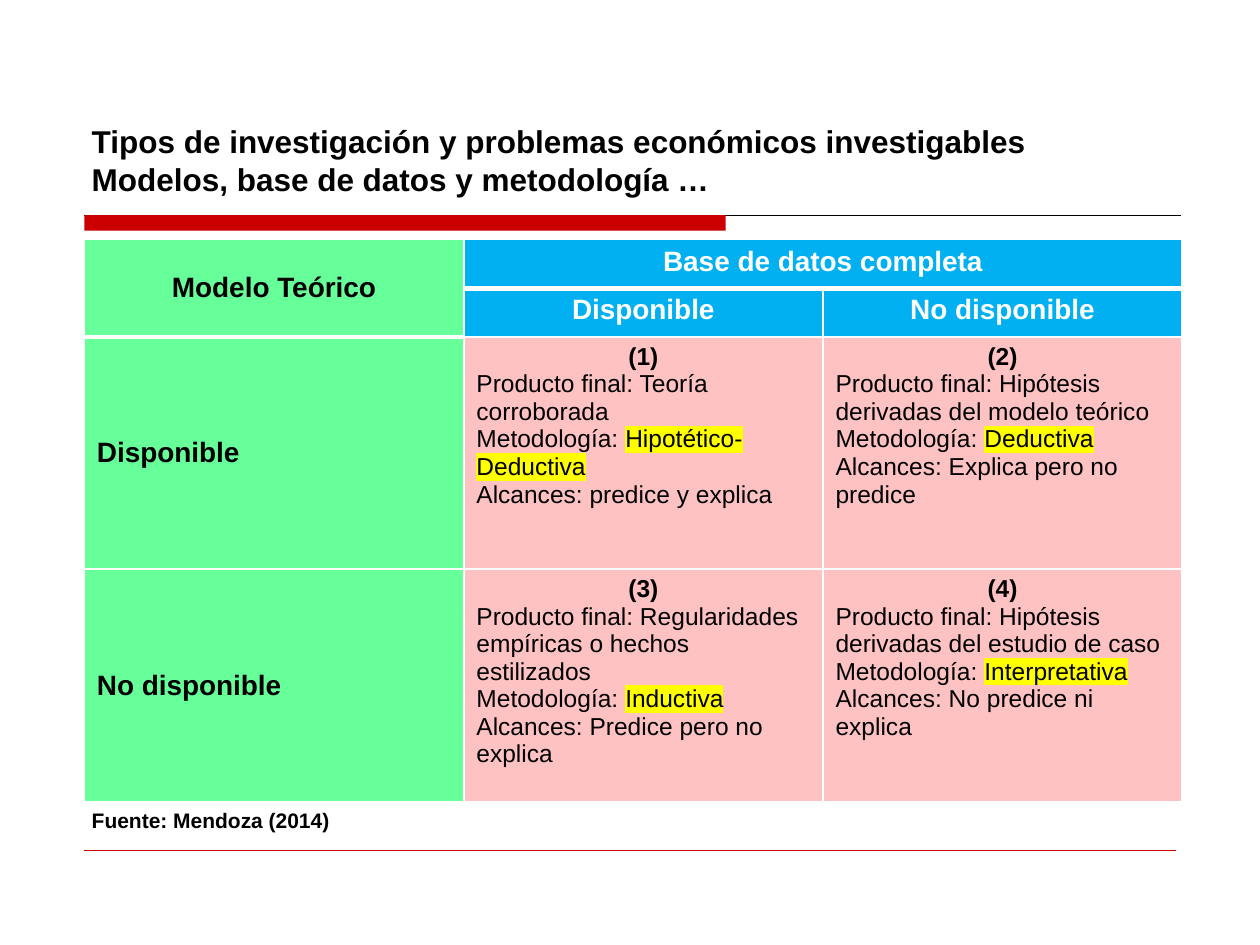
from dataclasses import dataclass
from lxml.etree import SubElement as Sub
from pptx import Presentation
from pptx.dml.color import RGBColor as RGB
from pptx.enum.shapes import MSO_CONNECTOR as Link, MSO_SHAPE as Shape
from pptx.enum.text import MSO_ANCHOR as Anchor, PP_ALIGN as Align
from pptx.oxml.ns import qn
from pptx.util import Cm, Pt

BLACK = RGB(0x00, 0x00, 0x00)
WHITE = RGB(0xFF, 0xFF, 0xFF)
RED = RGB(0xCC, 0x00, 0x00)
GREEN = RGB(0x66, 0xFF, 0x99)
BLUE = RGB(0x00, 0xB0, 0xF0)
PINK = RGB(0xFF, 0xC2, 0xC2)
YELLOW = RGB(0xFF, 0xFF, 0x00)

LEFT = 1.7
COLS = (7.65, 7.24, 7.24)
ROWS = (0.98, 0.98, 4.68, 4.7)


@dataclass
class Head:
    row: int
    col: int
    text: str
    fill: RGB
    color: RGB
    align: Align = Align.CENTER
    anchor: Anchor = Anchor.TOP


@dataclass
class Case:
    row: int
    col: int
    mark: str
    product: str
    method: str
    scope: str


HEADS = (
    Head(0, 0, "Modelo Teórico", GREEN, BLACK, anchor=Anchor.MIDDLE),
    Head(0, 1, "Base de datos completa", BLUE, WHITE),
    Head(1, 1, "Disponible", BLUE, WHITE),
    Head(1, 2, "No disponible", BLUE, WHITE),
    Head(2, 0, "Disponible", GREEN, BLACK, Align.LEFT, Anchor.MIDDLE),
    Head(3, 0, "No disponible", GREEN, BLACK, Align.LEFT, Anchor.MIDDLE),
)
CASES = (
    Case(2, 1, "(1)", "Teoría corroborada", "Hipotético-Deductiva", "predice y explica"),
    Case(2, 2, "(2)", "Hipótesis derivadas del modelo teórico", "Deductiva",
         "Explica pero no predice"),
    Case(3, 1, "(3)", "Regularidades empíricas o hechos estilizados", "Inductiva",
         "Predice pero no explica"),
    Case(3, 2, "(4)", "Hipótesis derivadas del estudio de caso", "Interpretativa",
         "No predice ni explica"),
)


def style(para, size: float, bold: bool, color: RGB = BLACK, align: Align = Align.LEFT) -> None:
    para.alignment = align
    font = para.font
    font.name, font.size, font.bold = "Arial", Pt(size), bold
    font.color.rgb = color


def mark(run) -> None:
    tint = Sub(run.font._element, qn("a:highlight"))
    Sub(tint, qn("a:srgbClr"), val=str(YELLOW))


def paint(cell, fill: RGB, thick: str = "") -> None:
    props = cell._tc.get_or_add_tcPr()
    for side in "LRTB":
        width = Pt(3 if side in thick else 1)
        edge = Sub(props, qn(f"a:ln{side}"), w=str(width))
        Sub(Sub(edge, qn("a:solidFill")), qn("a:srgbClr"), val=str(WHITE))
    cell.fill.solid()
    cell.fill.fore_color.rgb = fill


def put_head(table, head: Head) -> None:
    cell = table.cell(head.row, head.col)
    cell.text = head.text
    cell.vertical_anchor = head.anchor
    style(cell.text_frame.paragraphs[0], 16, True, head.color, head.align)


def put_case(table, case: Case) -> None:
    frame = table.cell(case.row, case.col).text_frame
    frame.text = "\n".join((case.mark, f"Producto final: {case.product}",
                            "Metodología: ", f"Alcances: {case.scope}"))
    first, *rest = frame.paragraphs
    style(first, 14, True, align=Align.CENTER)
    for para in rest:
        style(para, 14, False)
    run = rest[1].add_run()
    run.text = case.method
    mark(run)


def add_grid(slide) -> None:
    frame = slide.shapes.add_table(len(ROWS), len(COLS), Cm(LEFT), Cm(4.83),
                                   Cm(sum(COLS)), Cm(sum(ROWS)))
    table = frame.table
    table.horz_banding = table.first_row = False
    for col, width in zip(table.columns, COLS):
        col.width = Cm(width)
    for row, height in zip(table.rows, ROWS):
        row.height = Cm(height)
    table.cell(0, 0).merge(table.cell(1, 0))
    table.cell(0, 1).merge(table.cell(0, 2))
    thick = {(0, 0): "B", (1, 0): "B", (2, 0): "T",
             (0, 1): "B", (0, 2): "B", (1, 1): "T", (1, 2): "T"}
    for r in range(len(ROWS)):
        for c in range(len(COLS)):
            fill = GREEN if c == 0 else BLUE if r < 2 else PINK
            paint(table.cell(r, c), fill, thick.get((r, c), ""))
    for head in HEADS:
        put_head(table, head)
    for case in CASES:
        put_case(table, case)


def add_rule(slide, top: float, right: float, width: float, color: RGB) -> None:
    rule = slide.shapes.add_connector(Link.STRAIGHT, Cm(LEFT), Cm(top), Cm(right), Cm(top))
    rule.line.width = Pt(width)
    rule.line.color.rgb = color
    Sub(rule._element.spPr, qn("a:effectLst"))


def add_bar(slide) -> None:
    bar = slide.shapes.add_shape(Shape.RECTANGLE, Cm(LEFT), Cm(4.34), Cm(12.93), Cm(0.31))
    bar.shadow.inherit = False
    bar.fill.solid()
    bar.fill.fore_color.rgb = RED
    bar.line.fill.background()


def add_note(slide, text: str, top: float, width: float, height: float, size: float,
             anchor: Anchor = Anchor.TOP, wrap: bool = True) -> None:
    frame = slide.shapes.add_textbox(Cm(1.6), Cm(top), Cm(width), Cm(height)).text_frame
    frame.word_wrap = wrap
    frame.vertical_anchor = anchor
    frame.text = text
    for para in frame.paragraphs:
        style(para, size, True)


def main() -> None:
    """Build the slide on research types and save it."""
    deck = Presentation()
    deck.slide_width, deck.slide_height = Cm(25.4), Cm(19.05)
    slide = deck.slides.add_slide(deck.slide_layouts[6])
    add_rule(slide, 4.34, 23.8, 0.75, BLACK)
    add_bar(slide)
    add_rule(slide, 17.15, 23.7, 0.25, RED)
    add_grid(slide)
    add_note(slide, "Tipos de investigación y problemas económicos investigables\n"
             "Modelos, base de datos y metodología …", 2.51, 22.23, 1.6, 18, Anchor.BOTTOM)
    add_note(slide, "Fuente: Mendoza (2014)", 16.15, 5.49, 0.76, 12, wrap=False)
    deck.save("out.pptx")


if __name__ == "__main__":
    main()
